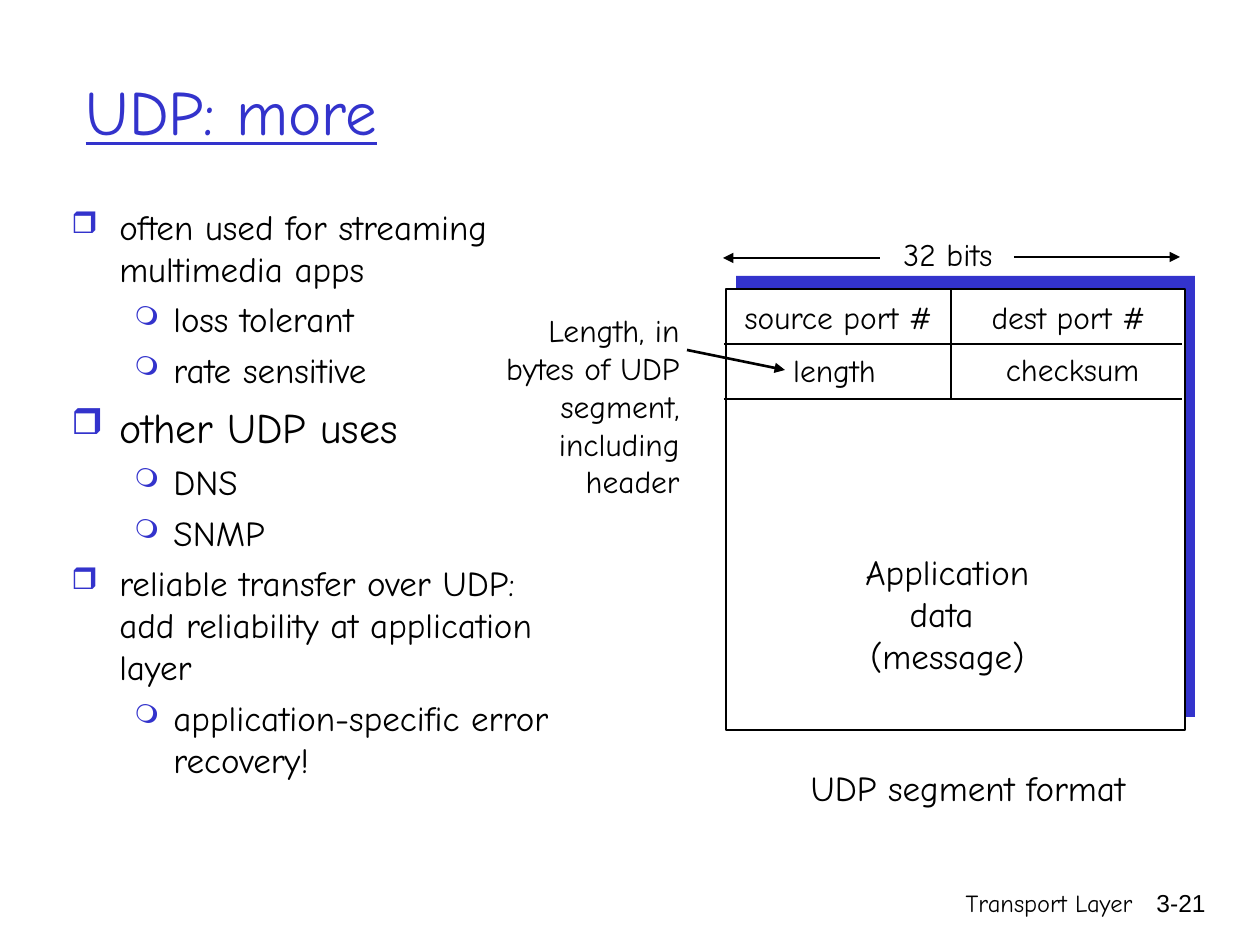
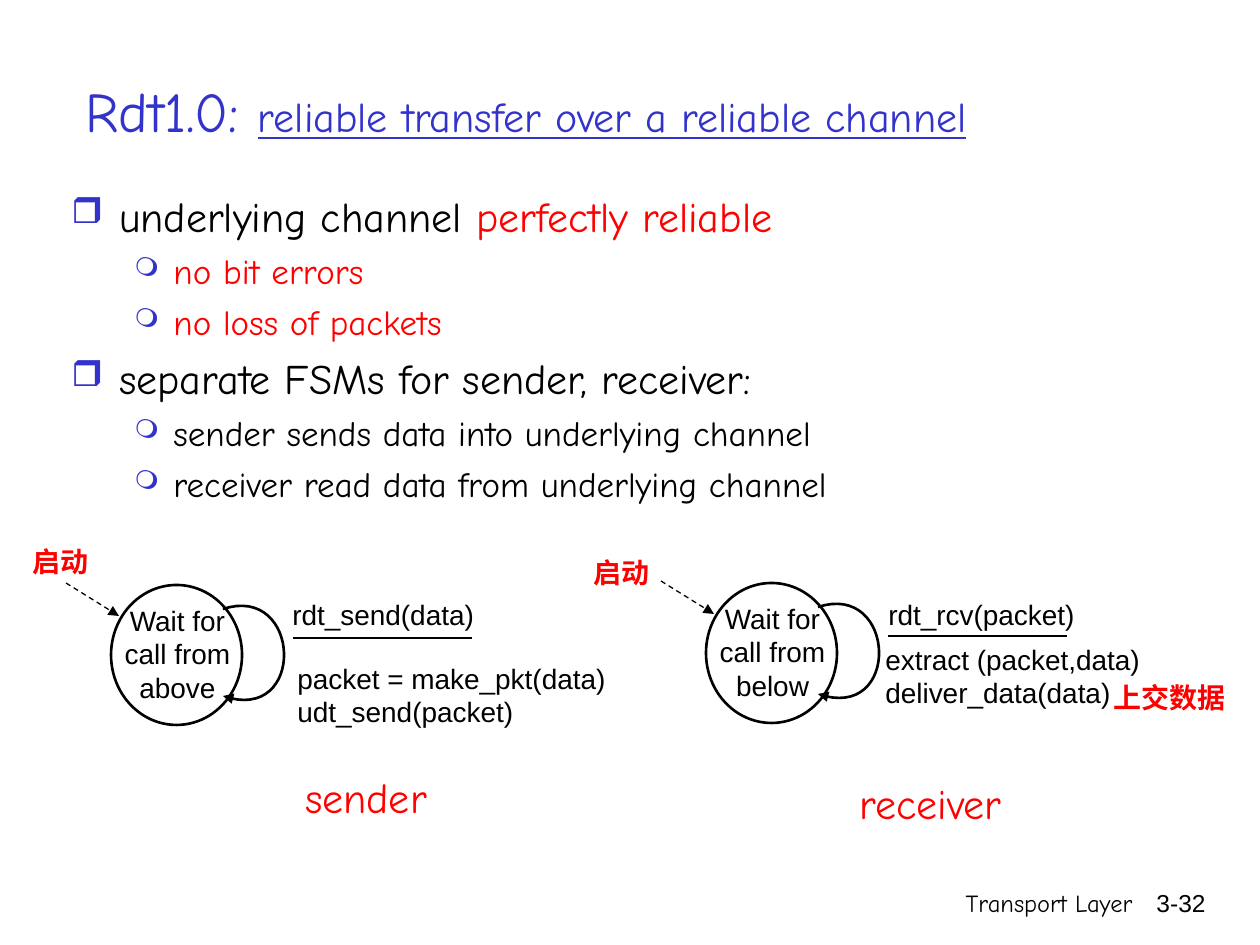
from dataclasses import dataclass

from lxml.etree import SubElement
from pptx import Presentation
from pptx.dml.color import RGBColor
from pptx.enum.dml import MSO_LINE
from pptx.enum.shapes import MSO_CONNECTOR, MSO_SHAPE
from pptx.enum.text import MSO_ANCHOR, MSO_AUTO_SIZE, PP_ALIGN
from pptx.oxml.ns import qn
from pptx.util import Emu, Inches, Pt

PIXELS_PER_INCH = 126


def px(value):
    return Emu(round(value * 914400 / PIXELS_PER_INCH))


@dataclass(frozen=True)
class Theme:
    blue: str = "3333CC"
    red: str = "FF0000"
    black: str = "000000"
    white: str = "FFFFFF"
    hand_font: str = "Comic Neue"
    code_font: str = "Arial"
    chinese_font: str = "Times New Roman"
    title: int = 36
    long_title: int = 32
    heading: int = 24
    body: int = 20
    label: int = 18
    code: int = 16
    footer: int = 14
    line: float = 1.5
    thin_line: float = 0.75


THEME = Theme()
# Per list level: bullet, size in %, left margin, hanging indent
BULLETS = [("❒", 85, 0.38, -0.38), ("❍", 75, 0.81, -0.31)]


class Deck:
    def __init__(self, theme):
        self.theme = theme
        self.presentation = Presentation()
        self.presentation.slide_width = Inches(10)
        self.presentation.slide_height = Inches(7.5)
        self.slide = None

    def new_slide(self, number, title_width, title_runs):
        """Start a slide with its title and footer; title runs are (text, size, underline)."""
        theme = self.theme
        self.slide = self.presentation.slides.add_slide(self.presentation.slide_layouts[5])
        title = self.slide.shapes.title
        title.left, title.top, title.width, title.height = map(px, (73, 32, title_width, 157))
        frame = title.text_frame
        frame.auto_size = MSO_AUTO_SIZE.NONE
        frame.vertical_anchor = MSO_ANCHOR.MIDDLE
        paragraph = frame.paragraphs[0]
        paragraph.alignment = PP_ALIGN.LEFT
        for text, size, underline in title_runs:
            run = paragraph.add_run()
            run.text = text
            self.format_run(run, theme.hand_font, size, theme.blue)
            run.font.underline = underline
        self.text((746, 882, 399, 63), "Transport Layer", size=theme.footer, align=PP_ALIGN.RIGHT)
        self.text((1125, 882, 93, 63), number, theme.code_font, theme.footer, align=PP_ALIGN.RIGHT)

    def format_run(self, run, font, size, color, bold=None):
        run.font.name = font
        run.font.size = Pt(size)
        run.font.bold = bold
        run.font.color.rgb = RGBColor.from_string(color)

    def text_frame(self, box, wrap=True):
        frame = self.slide.shapes.add_textbox(*map(px, box)).text_frame
        frame.word_wrap = wrap
        frame.auto_size = MSO_AUTO_SIZE.NONE if wrap else MSO_AUTO_SIZE.SHAPE_TO_FIT_TEXT
        return frame

    def text(self, box, text, font=None, size=None, color=None,
             align=PP_ALIGN.LEFT, wrap=True, bold=None):
        """Text box; each line of the text becomes a paragraph."""
        frame = self.text_frame(box, wrap)
        frame.text = text
        for paragraph in frame.paragraphs:
            paragraph.alignment = align
            for run in paragraph.runs:
                self.format_run(run, font or self.theme.hand_font, size or self.theme.label,
                                color or self.theme.black, bold)

    def label(self, box, text, size=None, color=None, align=PP_ALIGN.CENTER):
        self.text(box, text, size=size, color=color, align=align, wrap=False)

    def code(self, box, text, align=PP_ALIGN.LEFT):
        self.text(box, text, self.theme.code_font, self.theme.code, align=align)

    def chinese(self, box, text):
        self.text(box, text, self.theme.chinese_font, self.theme.code, self.theme.red, bold=True)

    def bullets(self, box, items):
        """Bulleted list; items are (level, size, runs), runs are (text, color)."""
        frame = self.text_frame(box)
        for index, (level, size, runs) in enumerate(items):
            paragraph = frame.add_paragraph() if index else frame.paragraphs[0]
            paragraph.level = level
            paragraph.space_before = Pt(size / 4)
            for text, color in runs:
                run = paragraph.add_run()
                run.text = text
                self.format_run(run, self.theme.hand_font, size, color)
            character, percent, margin, indent = BULLETS[level]
            properties = paragraph._p.get_or_add_pPr()
            properties.set("marL", str(Inches(margin)))
            properties.set("indent", str(Inches(indent)))
            bullet_color = SubElement(properties, qn("a:buClr"))
            SubElement(bullet_color, qn("a:srgbClr")).set("val", self.theme.blue)
            SubElement(properties, qn("a:buSzPct")).set("val", str(percent * 1000))
            SubElement(properties, qn("a:buChar")).set("char", character)

    def shape(self, kind, box, fill, outlined=True):
        shape = self.slide.shapes.add_shape(kind, *map(px, box))
        shape.shadow.inherit = False
        shape.fill.solid()
        shape.fill.fore_color.rgb = RGBColor.from_string(fill)
        if outlined:
            self.stroke(shape)
        else:
            shape.line.fill.background()

    def stroke(self, shape, width=None, arrow=False, dashed=False):
        line = shape.line
        line.color.rgb = RGBColor.from_string(self.theme.black)
        line.width = Pt(width or self.theme.line)
        if dashed:
            line.dash_style = MSO_LINE.DASH
        if arrow:
            SubElement(line._get_or_add_ln(), qn("a:tailEnd")).set("type", "triangle")

    def line(self, start, end, width=None, arrow=False, dashed=False):
        connector = self.slide.shapes.add_connector(
            MSO_CONNECTOR.STRAIGHT, *map(px, (*start, *end)))
        self.stroke(connector, width, arrow, dashed)
        SubElement(connector._element.spPr, qn("a:effectLst"))

    def curve_arrow(self, controls, steps=32):
        """Cubic Bezier curve, sampled into short segments."""
        points = []
        for step in range(steps + 1):
            t = step / steps
            weights = ((1 - t) ** 3, 3 * t * (1 - t) ** 2, 3 * t * t * (1 - t), t ** 3)
            points.append(tuple(px(sum(weight * control[axis]
                                       for weight, control in zip(weights, controls)))
                                for axis in (0, 1)))
        builder = self.slide.shapes.build_freeform(*points[0])
        builder.add_line_segments(points[1:], close=False)
        curve = builder.convert_to_shape()
        curve.shadow.inherit = False
        curve.fill.background()
        self.stroke(curve, arrow=True)

    def state(self, left, top, name):
        """State with its self-loop, initial arrow and event rule."""
        self.shape(MSO_SHAPE.OVAL, (left, top, 131, 140), self.theme.white)
        self.code((left - 9, top + 12, 151, 126), name, PP_ALIGN.CENTER)
        self.curve_arrow([(left + x, top + y)
                          for x, y in ((112, 24), (191, -2), (196, 140), (112, 111))])
        self.line((left + 182, top + 53), (left + 361, top + 53))
        self.line((left - 45, top - 2), (left + 8, top + 31),
                  self.theme.thin_line, arrow=True, dashed=True)


def segment_slide(deck):
    theme = deck.theme
    deck.new_slide("3-21", 1149, [("UDP: more", theme.title, True)])
    entries = [
        (0, theme.body, "often used for streaming multimedia apps"),
        (1, theme.body, "loss tolerant"),
        (1, theme.body, "rate sensitive"),
        (0, theme.heading, "other UDP uses"),
        (1, theme.body, "DNS"),
        (1, theme.body, "SNMP"),
        (0, theme.body, "reliable transfer over UDP: add reliability at application layer"),
        (1, theme.body, "application-specific error recovery!"),
    ]
    deck.bullets((59, 199, 525, 640),
                 [(level, size, [(text, theme.black)]) for level, size, text in entries])

    # Segment frame on its blue backing
    left, top, width, height, row_height = 726, 289, 459, 441, 55
    deck.shape(MSO_SHAPE.RECTANGLE, (left + 10, top - 13, width, height), theme.blue, False)
    deck.shape(MSO_SHAPE.RECTANGLE, (left, top, width, height), theme.white)

    # Header rows
    for row in (1, 2):
        bottom = top + row * row_height
        deck.line((left - 2, bottom), (left + width - 3, bottom))
        deck.line((951, bottom), (951, bottom - row_height))
    deck.label((732, 292, 213, 50), "source port #")
    deck.label((979, 292, 179, 50), "dest port #")
    deck.label((778, 345, 113, 50), "length")
    deck.label((993, 344, 159, 50), "checksum")

    # Width marker
    deck.label((888, 229, 120, 50), "32 bits")
    deck.line((1014, 257), (1180, 257), arrow=True)
    deck.line((880, 258), (723, 258), arrow=True)

    # Payload, caption and note
    deck.label((853, 544, 189, 139), "Application\ndata \n(message)", theme.body)
    deck.label((798, 760, 340, 55), "UDP segment format", theme.body)
    deck.label((493, 305, 199, 202), "Length, in\nbytes of UDP\nsegment,\nincluding\nheader",
               align=PP_ALIGN.RIGHT)
    deck.line((687, 350), (785, 370), arrow=True)


def reliable_channel_slide(deck):
    theme = deck.theme
    deck.new_slide("3-32", 1102, [
        ("Rdt1.0: ", theme.long_title, None),
        ("reliable transfer over a reliable channel", theme.heading, True)])
    deck.bullets((59, 184, 1089, 416), [
        (0, theme.heading, [("underlying channel ", theme.black),
                            ("perfectly reliable", theme.red)]),
        (1, theme.body, [("no bit errors", theme.red)]),
        (1, theme.body, [("no loss of packets", theme.red)]),
        (0, theme.heading, [("separate FSMs for sender, receiver:", theme.black)]),
        (1, theme.body, [("sender sends data into underlying channel", theme.black)]),
        (1, theme.body, [("receiver read data from underlying channel", theme.black)]),
    ])

    # Sender machine
    deck.state(111, 585, "Wait for call from above")
    deck.code((280, 591, 311, 59), "rdt_send(data)")
    deck.code((285, 655, 369, 82), "packet = make_pkt(data)\nudt_send(packet)")
    deck.label((290, 765, 152, 63), "sender", theme.heading, theme.red)
    deck.chinese((20, 538, 93, 55), "启动")

    # Receiver machine
    deck.state(706, 583, "Wait for call from below")
    deck.code((876, 591, 212, 47), "rdt_rcv(packet)")
    deck.code((873, 636, 343, 59), "extract (packet,data)\ndeliver_data(data)")
    deck.label((844, 771, 173, 63), "receiver", theme.heading, theme.red)
    deck.chinese((581, 549, 93, 55), "启动")
    deck.chinese((1101, 674, 146, 55), "上交数据")


deck = Deck(THEME)
segment_slide(deck)
reliable_channel_slide(deck)
deck.presentation.save("out.pptx")
